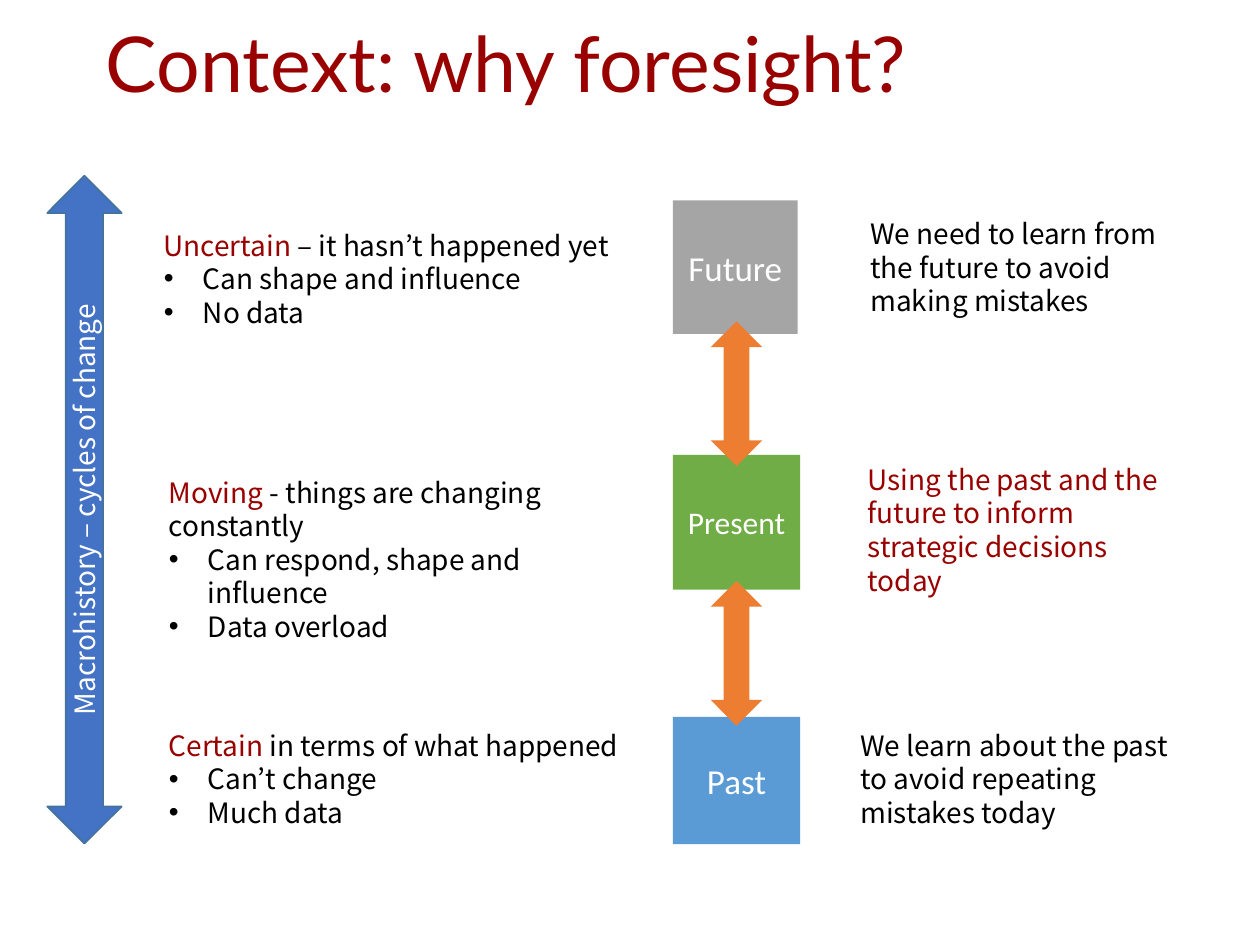
from lxml import etree
from pptx import Presentation
from pptx.dml.color import RGBColor
from pptx.enum.shapes import MSO_SHAPE
from pptx.enum.text import MSO_ANCHOR, MSO_AUTO_SIZE, PP_ALIGN
from pptx.oxml.ns import qn
from pptx.util import Inches, Pt

RECT = MSO_SHAPE.RECTANGLE
UP_DOWN = MSO_SHAPE.UP_DOWN_ARROW
LEFT_RIGHT = MSO_SHAPE.LEFT_RIGHT_ARROW
TOP, MIDDLE = MSO_ANCHOR.TOP, MSO_ANCHOR.MIDDLE
LEFT, CENTER = PP_ALIGN.LEFT, PP_ALIGN.CENTER
NO_FIT = MSO_AUTO_SIZE.NONE

COMPARISON_LAYOUT = 4
COLUMNS, ROWS = 100, 75
COLORS = {
    "accent": "990000", "text": "000000", "light": "FFFFFF",
    "future": "A5A5A5", "present": "70AD47", "past": "5B9BD5",
    "link": "ED7D31", "cycle": "4472C4", "cycle_edge": "43739E",
}
BODY_FONT = "Noto Sans CJK JP"
FRAME = {"word_wrap": True, "auto_size": NO_FIT, "vertical_anchor": TOP}
SHAPE_FRAME = {
    "word_wrap": True, "vertical_anchor": MIDDLE,
    "margin_left": Inches(0.07), "margin_right": Inches(0.07),
    "margin_top": Inches(0.04), "margin_bottom": Inches(0.04),
}
PARAGRAPH = {"alignment": LEFT, "line_spacing": 1.0,
             "space_before": Pt(0), "space_after": Pt(0)}


def apply(target, values):
    for name, value in values.items():
        setattr(target, name, value)


class ForesightSlide:
    def __init__(self, deck):
        self.cell_width = deck.slide_width / COLUMNS
        self.cell_height = deck.slide_height / ROWS
        self.slide = deck.slides.add_slide(deck.slide_layouts[COMPARISON_LAYOUT])
        self.bodies = list(self.slide.placeholders)[1:]

    def box(self, column, row, width, height):
        return (round(column * self.cell_width), round(row * self.cell_height),
                round(width * self.cell_width), round(height * self.cell_height))

    def place(self, holder, area):
        apply(holder, dict(zip(("left", "top", "width", "height"), self.box(*area))))
        apply(holder.text_frame, FRAME)

    def add_text(self, paragraph, text, color, size=16, font=BODY_FONT, **layout):
        apply(paragraph, PARAGRAPH | layout)
        run = paragraph.add_run()
        run.text = text
        apply(run.font, {"name": font, "size": Pt(size), "bold": False})
        run.font.color.rgb = RGBColor.from_string(COLORS[color])

    def bullet(self, paragraph, symbol=None):
        indent = Inches(0.31) if symbol else 0
        properties = paragraph._p.get_or_add_pPr()
        properties.set("marL", str(indent))
        properties.set("indent", str(-indent))
        if symbol:
            font = etree.SubElement(properties, qn("a:buFont"))
            font.set("typeface", "Arial")
            etree.SubElement(properties, qn("a:buChar")).set("char", symbol)
        else:
            etree.SubElement(properties, qn("a:buNone"))

    def title(self, text, area):
        heading = self.slide.shapes.title
        self.place(heading, area)
        self.add_text(heading.text_frame.paragraphs[0], text, "accent", 44, "Lato",
                      line_spacing=0.9)

    def outlook(self, keyword, statement, points, area):
        holder = self.bodies.pop(0)
        self.place(holder, area)
        lead = holder.text_frame.paragraphs[0]
        self.add_text(lead, keyword, "accent")
        self.add_text(lead, statement, "text")
        self.bullet(lead)
        for point in points:
            item = holder.text_frame.add_paragraph()
            self.add_text(item, point, "text")
            self.bullet(item, "•")

    def lesson(self, text, color, area):
        note = self.slide.shapes.add_textbox(*self.box(*area))
        apply(note.text_frame, FRAME)
        self.add_text(note.text_frame.paragraphs[0], text, color)

    def block(self, kind, area, fill, text="", size=16, font="Calibri", edge=None,
              rotation=0):
        block = self.slide.shapes.add_shape(kind, *self.box(*area))
        block.shadow.inherit = False
        block.rotation = rotation
        block.fill.solid()
        block.fill.fore_color.rgb = RGBColor.from_string(COLORS[fill])
        if edge:
            block.line.color.rgb = RGBColor.from_string(COLORS[edge])
            block.line.width = Pt(1)
        else:
            block.line.fill.background()
        if text:
            apply(block.text_frame, SHAPE_FRAME)
            self.add_text(block.text_frame.paragraphs[0], text, "light", size, font,
                          alignment=CENTER)

    def remove_unused(self):
        for holder in self.bodies:
            holder.element.getparent().remove(holder.element)


def main():
    deck = Presentation()
    deck.slide_width, deck.slide_height = Inches(10), Inches(7.5)
    page = ForesightSlide(deck)
    page.title("Context: why foresight?", (7.4, 1.6, 86.2, 14.5))

    outlooks = [
        ("Uncertain ", "– it hasn’t happened yet",
         ["Can shape and influence", "No data"], (12, 17.6, 40.1, 9.1)),
        ("Moving ", "- things are changing constantly",
         ["Can respond, shape and influence", "Data overload"],
         (12.4, 37.2, 39.2, 14.5)),
        ("Certain ", "in terms of what happened",
         ["Can’t change", "Much data"], (12.4, 57.3, 41.1, 9.1)),
    ]
    for outlook in outlooks:
        page.outlook(*outlook)
    page.remove_unused()

    periods = [
        ("Future", "future", 20, (53.4, 15.9, 9.9, 10.6)),
        ("Present", "present", 18, (53.4, 36.1, 10.1, 10.7)),
        ("Past", "past", 20, (53.4, 56.9, 10.1, 10.1)),
    ]
    for name, fill, size, area in periods:
        page.block(RECT, area, fill, name, size)

    lessons = [
        ("We need to learn from the future to avoid making mistakes", "text",
         (68.1, 16.7, 27.3, 9.1)),
        ("Using the past and the future to inform strategic decisions today",
         "accent", (67.9, 36.2, 27.3, 11.8)),
        ("We learn about the past to avoid repeating mistakes today", "text",
         (67.3, 57.3, 27.3, 9.1)),
    ]
    for lesson in lessons:
        page.lesson(*lesson)

    for link_row in (25.5, 46.1):
        page.block(UP_DOWN, (56.4, link_row, 4.1, 11.5), "link")
    page.block(LEFT_RIGHT, (-19.8, 37.5, 53, 5.9), "cycle",
               "Macrohistory – cycles of change", font=BODY_FONT,
               edge="cycle_edge", rotation=270)

    deck.save("out.pptx")


if __name__ == "__main__":
    main()
